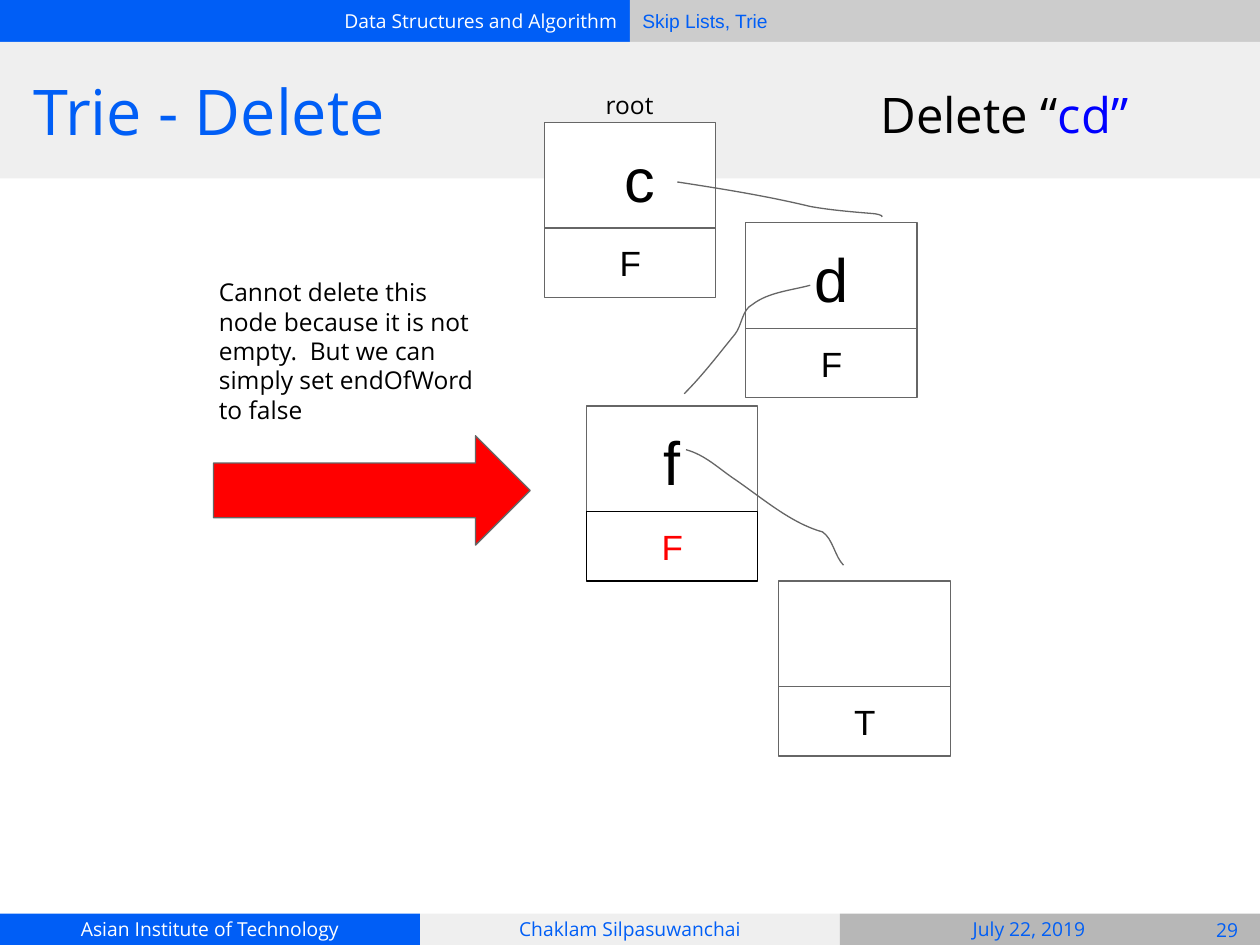
import pptx
import pptx.dml.color
import pptx.enum.shapes
import pptx.enum.text
import pptx.oxml
import pptx.oxml.ns
import pptx.util

Pt = pptx.util.Pt
RGB = pptx.dml.color.RGBColor
SHAPE = pptx.enum.shapes.MSO_SHAPE
ALIGN = pptx.enum.text.PP_ALIGN
ANCHOR = pptx.enum.text.MSO_ANCHOR
qn = pptx.oxml.ns.qn

BLUE = RGB(0x00, 0x5E, 0xF6)
LINK_BLUE = RGB(0x00, 0x00, 0xFF)
WHITE = RGB(0xFF, 0xFF, 0xFF)
BLACK = RGB(0x00, 0x00, 0x00)
RED = RGB(0xFF, 0x00, 0x00)
PALE = RGB(0xEF, 0xEF, 0xEF)
LIGHT = RGB(0xCC, 0xCC, 0xCC)
GREY = RGB(0xB7, 0xB7, 0xB7)
OUTLINE = RGB(0x66, 0x66, 0x66)

SANS, ARIAL = "Open Sans", "Arial"
WIDTH, HEIGHT = 720, 540
HEADER_H, FOOTER_H, TITLE_H = 24, 18, 78
THIRD = WIDTH / 3
NODE_W, LETTER_H, FLAG_H, FLAG_OFFSET = 98, 63, 39.8, 60.3


def write(shape, runs, size, font=SANS, align=ALIGN.LEFT, anchor=ANCHOR.MIDDLE, indent=0):
    """Fill a shape with one paragraph made of (text, colour) runs."""
    frame = shape.text_frame
    frame.word_wrap = True
    frame.vertical_anchor = anchor
    frame.margin_left = frame.margin_right = Pt(7.2)
    frame.margin_top = frame.margin_bottom = Pt(7.2)
    paragraph = frame.paragraphs[0]
    paragraph.alignment = align
    paragraph.font.size = Pt(size)
    paragraph.font.name = font
    if len(runs) == 1:
        paragraph.font.color.rgb = runs[0][1]
    if indent:
        properties = paragraph._p.get_or_add_pPr()
        properties.set("marL", "0")
        properties.set("indent", str(Pt(indent)))
    for text, colour in runs:
        run = paragraph.add_run()
        run.text = text
        if len(runs) > 1:
            run.font.color.rgb = colour


def add_block(shapes, box, fill, line=None, preset=SHAPE.RECTANGLE):
    block = shapes.add_shape(preset, *map(Pt, box))
    block.shadow.inherit = False
    block.fill.solid()
    block.fill.fore_color.rgb = fill
    if line is None:
        block.line.fill.background()
    else:
        block.line.color.rgb = line
        block.line.width = Pt(0.75)
    return block


def add_text(shapes, box, runs, size, **style):
    write(shapes.add_textbox(*map(Pt, box)), runs, size, **style)


def add_node(shapes, left, top, letter, flag, letter_style, flag_colour=BLACK, flag_line=OUTLINE):
    """Trie node: the letter above its end-of-word flag."""
    node = shapes.add_group_shape().shapes
    letter_box = add_block(node, (left, top, NODE_W, LETTER_H), WHITE, OUTLINE)
    if letter:
        write(letter_box, [(letter, BLACK)], 35, ARIAL, **letter_style)
    flag_box = add_block(node, (left, top + FLAG_OFFSET, NODE_W, FLAG_H), WHITE, flag_line)
    write(flag_box, [(flag, flag_colour)], 20, ARIAL, indent=36)


def add_curve(shapes, start, *points):
    """Draw cubic Bezier segments; every three points are two controls and an end."""
    builder = shapes.build_freeform(*start, scale=Pt(1))
    builder.add_line_segments(points, close=False)
    curve = builder.convert_to_shape()
    curve.shadow.inherit = False
    curve.fill.background()
    curve.line.color.rgb = OUTLINE
    curve.line.width = Pt(0.75)
    lines = list(curve._element.iter(qn("a:lnTo")))
    for first in range(0, len(lines), 3):
        bezier = pptx.oxml.parse_xml(
            f'<a:cubicBezTo {pptx.oxml.ns.nsdecls("a")}/>')
        lines[first].addprevious(bezier)
        for line in lines[first:first + 3]:
            bezier.append(line[0])
            line.getparent().remove(line)


def add_frame(shapes):
    """Header, title band and footer."""
    half = WIDTH / 2
    course = add_block(shapes, (0, 0, half, HEADER_H), BLUE)
    write(course, [("Data Structures and Algorithm", WHITE)], 11, align=ALIGN.RIGHT)
    topic = add_block(shapes, (half, 0, half, HEADER_H), LIGHT)
    write(topic, [("Skip Lists, Trie", BLUE)], 11, ARIAL)

    footer_top = HEIGHT - FOOTER_H
    footer = [("Asian Institute of Technology", BLUE, WHITE),
              ("Chaklam Silpasuwanchai", PALE, BLUE)]
    for column, (text, fill, colour) in enumerate(footer):
        cell = add_block(shapes, (column * THIRD, footer_top, THIRD, FOOTER_H), fill)
        write(cell, [(text, colour)], 11, align=ALIGN.CENTER)
    add_block(shapes, (2 * THIRD, footer_top, THIRD, FOOTER_H), GREY)
    add_text(shapes, (486, footer_top, 204, FOOTER_H), [("July 22, 2019", BLUE)], 11,
             align=ALIGN.CENTER)
    add_text(shapes, (682.5, 522.7, 37.5, 17.3), [("29", BLUE)], 11, align=ALIGN.CENTER)

    add_block(shapes, (0, HEADER_H, WIDTH, TITLE_H), PALE)
    add_text(shapes, (12, HEADER_H, 696, TITLE_H), [("Trie - Delete", BLUE)], 36)


def add_trie(shapes):
    centred = {"align": ALIGN.CENTER}
    add_node(shapes, 311, 70, "c", "F", {"indent": 39})
    add_text(shapes, (303, 44, 98, 34.5), [("root", BLACK)], 14, anchor=ANCHOR.TOP, indent=36)
    add_node(shapes, 426, 127.3, "d", "F", centred)
    add_node(shapes, 335, 232, "f", "F", centred, RED, BLACK)
    add_node(shapes, 445, 332, "", "T", centred)

    add_curve(shapes, (387.4, 104.5), (413, 108, ), (438, 112.5), (463, 118),
              (474, 120.5), (486, 121), (497.5, 122), (500, 122.3), (505, 123), (504, 124.5))
    add_curve(shapes, (463, 163), (451.5, 165.5), (439, 167), (430, 173.5),
              (424, 177), (424, 186), (420.5, 191), (411, 202.5), (402, 214.5), (391, 225.3))
    add_curve(shapes, (392.4, 257), (403, 260), (411, 268), (420.5, 274.5),
              (436, 285), (451.5, 299), (469.5, 304.5), (476.5, 307.5), (477, 317.5), (482.5, 323.3))


def main():
    presentation = pptx.Presentation()
    presentation.slide_width, presentation.slide_height = Pt(WIDTH), Pt(HEIGHT)
    shapes = presentation.slides.add_slide(presentation.slide_layouts[6]).shapes

    add_frame(shapes)
    add_text(shapes, (496, 41, 212.5, 52), [("Delete “", BLACK), ("cd”", LINK_BLUE)], 28,
             anchor=ANCHOR.TOP)
    add_trie(shapes)
    add_block(shapes, (122, 249, 181, 62.5), RED, OUTLINE, SHAPE.RIGHT_ARROW)
    explanation = ("Cannot delete this node because it is not empty.  "
                   "But we can simply set endOfWord to false")
    add_text(shapes, (118, 151.2, 164, 88), [(explanation, BLACK)], 14, anchor=ANCHOR.TOP)

    presentation.save("out.pptx")


if __name__ == "__main__":
    main()
